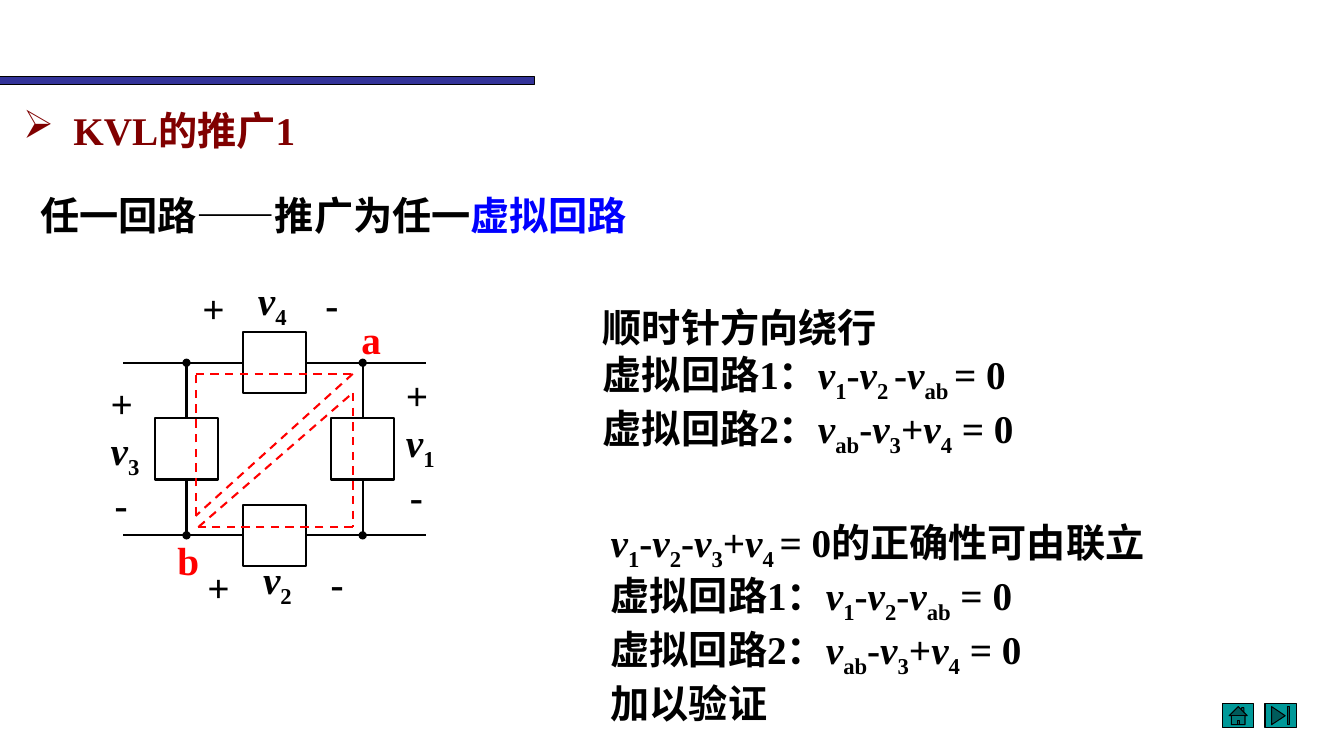
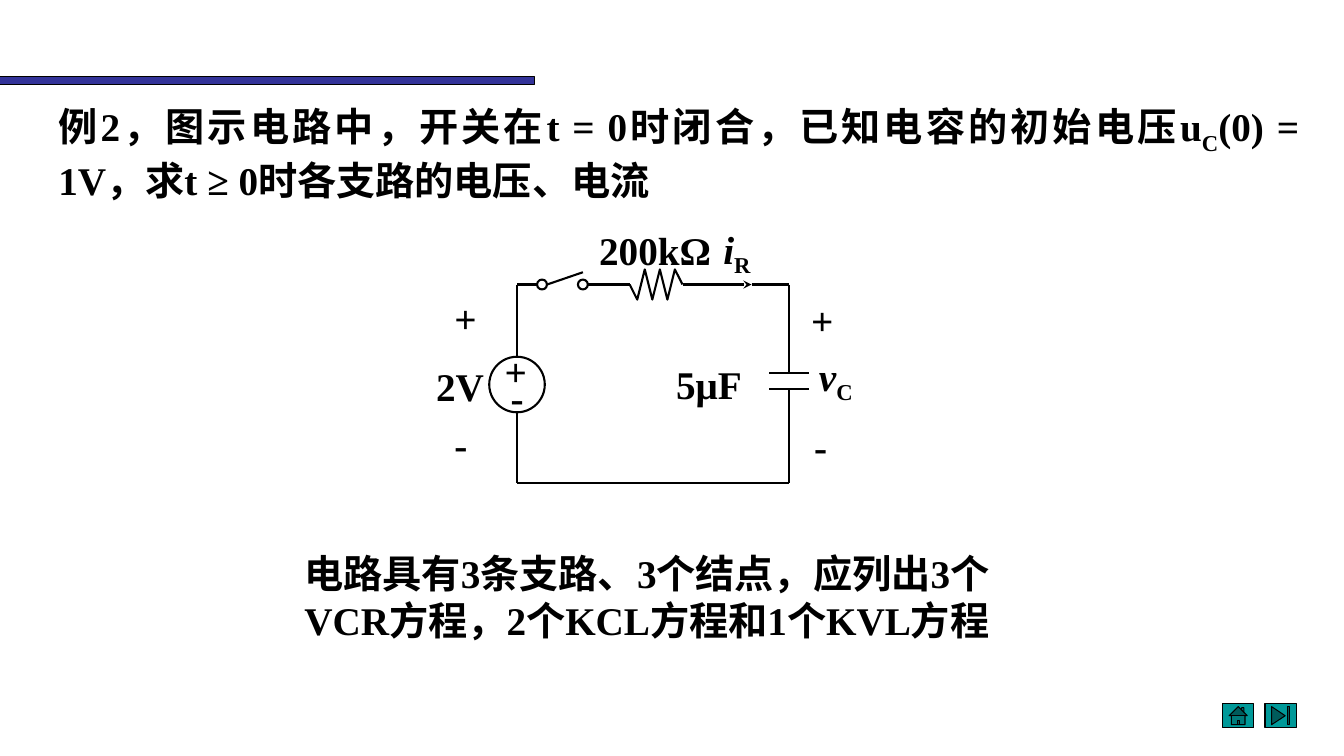
from dataclasses import dataclass
from itertools import count, pairwise

from lxml import etree
from pptx import Presentation
from pptx.dml.color import RGBColor
from pptx.enum import dml, lang, shapes, text
from pptx.oxml import ns
from pptx.util import Cm, Pt


@dataclass(frozen=True)
class Theme:
    font: str = "Times New Roman"
    size: float = 28
    rule: float = 1.5
    outline: float = 0.75
    ink: str = "000000"
    heading: str = "800000"
    accent: str = "0000FF"
    loop: str = "FF0000"
    band: str = "333399"
    button: str = "009999"


THEME = Theme()
LABEL_HEIGHT = 1.45
SHAPE = shapes.MSO_SHAPE


def colour(name):
    return RGBColor.from_string(getattr(THEME, name))


def add_xml(parent, tag, **attributes):
    return etree.SubElement(parent, ns.qn(tag), attributes)


def write_line(para, line, ink="ink", align=text.PP_ALIGN.LEFT, bullet=None):
    """Fill a paragraph from parts split by |: / is italic, _ subscript, ! accent."""
    properties = para._p.get_or_add_pPr()
    indent = Cm(1.27) if bullet else 0
    properties.set("marL", str(indent))
    properties.set("indent", str(-indent))
    if bullet:
        add_xml(properties, "a:buChar", char=bullet)
    else:
        add_xml(properties, "a:buNone")
    para.alignment = align
    para.space_before = Pt(0)
    para.font.name = THEME.font
    para.font.size = Pt(THEME.size)
    para.font.bold = True
    para.font.color.rgb = colour(ink)
    para.font.language_id = lang.MSO_LANGUAGE_ID.SIMPLIFIED_CHINESE
    for part in line.split("|"):
        mark = part[0] if part[0] in "/_!" else ""
        span = para.add_run()
        span.text = part[len(mark):]
        if mark == "/":
            span.font.italic = True
        elif mark == "_":
            span._r.get_or_add_rPr().set("baseline", "-25000")
        elif mark == "!":
            span.font.color.rgb = colour("accent")


def write_box(box, place, lines, inset=True, **style):
    box.left, box.top, box.width, box.height = map(Cm, place)
    frame = box.text_frame
    frame.word_wrap = True
    frame.auto_size = text.MSO_AUTO_SIZE.NONE
    frame.vertical_anchor = text.MSO_ANCHOR.TOP
    side, edge = (Cm(0.25), Cm(0.13)) if inset else (0, 0)
    frame.margin_left = frame.margin_right = side
    frame.margin_top = frame.margin_bottom = edge
    for index, line in enumerate(lines):
        para = frame.add_paragraph() if index else frame.paragraphs[0]
        write_line(para, line, **style)


def add_text(page, place, *lines, **style):
    write_box(page.shapes.add_textbox(*map(Cm, place)), place, lines, **style)


def outline(shape, width, fill=None):
    shape.shadow.inherit = False
    if fill:
        shape.fill.solid()
        shape.fill.fore_color.rgb = colour(fill)
    else:
        shape.fill.background()
    shape.line.color.rgb = colour("ink")
    shape.line.width = Pt(width)
    return shape


class Drawing:
    """Circuit parts placed in centimetres from the corner of a region."""

    def __init__(self, page, left, top):
        self.page, self.left, self.top = page, left, top

    def spot(self, x, y):
        return Cm(self.left + x), Cm(self.top + y)

    def wire(self, start, end, ink="ink", dashed=False, head=None, tail=None, join=None):
        line = self.page.shapes.add_connector(
            shapes.MSO_CONNECTOR.STRAIGHT, *self.spot(*start), *self.spot(*end))
        if join:
            line.end_connect(*join)
        line.line.color.rgb = colour(ink)
        line.line.width = Pt(THEME.rule)
        if dashed:
            line.line.dash_style = dml.MSO_LINE.DASH
        stroke = line.line._get_or_add_ln()
        for tag, kind in (("a:headEnd", head), ("a:tailEnd", tail)):
            if kind:
                add_xml(stroke, tag, type=kind)
        add_xml(line._element.spPr, "a:effectLst")

    def centred(self, kind, x, y, width, height):
        shape = self.page.shapes.add_shape(
            kind, *self.spot(x - width / 2, y - height / 2), Cm(width), Cm(height))
        return outline(shape, THEME.rule)

    def label(self, line, x, y, width=1.5, ink="ink"):
        place = (self.left + x, self.top + y, width, LABEL_HEIGHT)
        add_text(self.page, place, line, ink=ink)


def draw_bridge(page, left, top):
    art = Drawing(page, left, top)
    west, east, north, south = 2.16, 6.6, 2.31, 6.66
    half_width, half_height, stub = 0.8, 0.77, 1.6

    for y in (north, south):
        middle = (west + east) / 2
        element = art.centred(SHAPE.RECTANGLE, middle, y, 2 * half_width, 2 * half_height)
        art.wire((west, y), (middle - half_width, y), join=(element, 1))
        art.wire((east, y), (middle + half_width, y), join=(element, 3))
        art.wire((west - stub, y), (west, y), tail="oval")
        art.wire((east, y), (east + stub, y), head="oval")
    for x in (west, east):
        middle = (north + south) / 2
        element = art.centred(SHAPE.RECTANGLE, x, middle, 2 * half_width, 2 * half_height)
        art.wire((x, north), (x, middle - half_height), join=(element, 0))
        art.wire((x, south), (x, middle + half_height), join=(element, 2))

    across = ((0, 0.2), (1.4, 0), (3.1, 0.1))
    down = ((0, 0), (0, 1.19), (0.1, 2.56))
    for number, x, y, offsets in ((4, 2.31, 0, across), (2, 2.44, 7.04, across),
                                  (1, 7.44, 2.39, down), (3, 0, 2.59, down)):
        for sign, (dx, dy) in zip(("+", f"/v|_{number}", "-"), offsets):
            art.label(sign, x + dx, y + dy)

    lower = ((6.35, 3.07), (6.35, 6.45), (2.46, 6.45))
    upper = ((2.39, 6.17), (2.39, 2.59), (6.35, 2.59))
    for corners in (lower, upper):
        for start, end in pairwise(corners + corners[:1]):
            art.wire(start, end, ink="loop", dashed=True)
    art.label("a", 6.32, 0.99, ink="loop")
    art.label("b", 1.68, 6.55, ink="loop")


def draw_rc_circuit(page, left, top):
    art = Drawing(page, left, top)
    west, east, north, south = 2.29, 9.14, 1.63, 6.63
    source_y, radius = 4.15, 0.7
    plates, plate_half = (3.86, 4.27), 0.5
    contacts, contact = (2.92, 3.95), 0.25
    zig_start, zig_step, zig_height = 5.13, 0.19, 0.38
    zig_end = zig_start + 7 * zig_step
    arrow_x = 8.2

    art.centred(SHAPE.OVAL, west, source_y, 2 * radius, 2 * radius)
    for x in contacts:
        art.centred(SHAPE.OVAL, x, north, contact, contact)
    for start, end in (
        ((west, north), (west, source_y - radius)),
        ((west, source_y + radius), (west, south)),
        ((west, south), (east, south)),
        ((west, north), (contacts[0] - contact / 2, north)),
        ((contacts[0] + contact / 2, north), (contacts[1], north - 0.31)),
        ((contacts[1] + contact / 2, north), (zig_start, north)),
        ((arrow_x, north), (east, north)),
        ((east, north), (east, plates[0])),
        ((east, plates[1]), (east, south)),
    ):
        art.wire(start, end)
    art.wire((zig_end, north), (arrow_x, north), tail="stealth")
    for y in plates:
        art.wire((east - plate_half, y), (east + plate_half, y))

    swings = (0, 1, -1, 1, -1, 1, -1, 0)
    points = [art.spot(zig_start + i * zig_step, north + swing * zig_height)
              for i, swing in enumerate(swings)]
    zigzag = page.shapes.build_freeform(*points[0])
    zigzag.add_line_segments(points[1:], close=False)
    outline(zigzag.convert_to_shape(), THEME.rule)

    for line, x, y, width in (
        ("2V", 0, 3.45, 2), ("200kΩ", 4.11, 0.03, 3.86), ("/i|_R", 7.24, 0, 1.7),
        ("5μF", 6.05, 3.4, 2.74), ("/v|_C", 9.65, 3.2, 2),
        ("+", 0.46, 1.75, 1.5), ("-", 0.46, 4.93, 1.3),
        ("+", 9.45, 1.8, 1.5), ("-", 9.53, 4.98, 1.3),
        ("+", 1.73, 3.07, 1.5), ("-", 1.88, 3.73, 1.3),
    ):
        art.label(line, x, y, width)


def add_master_furniture(deck, page):
    """Build the band and buttons on a page, then move them to the master."""
    ids = count(20)
    for kind, place, fill in (
        (SHAPE.RECTANGLE, (0, 1.93, 13.46, 0.2), "band"),
        (SHAPE.ACTION_BUTTON_HOME, (30.81, 17.73, 0.79, 0.61), "button"),
        (SHAPE.ACTION_BUTTON_END, (31.88, 17.73, 0.79, 0.61), "button"),
    ):
        shape = outline(page.shapes.add_shape(kind, *map(Cm, place)), THEME.outline, fill)
        shape._element.nvSpPr.cNvPr.set("id", str(next(ids)))
        deck.slide_master.shapes._spTree.append(shape._element)


def build_kvl_page(page):
    loop_two = "虚拟回路2：|/v|_ab|-|/v|_3|+|/v|_4| = 0"
    write_box(page.shapes.title, (0.33, 2.54, 9.73, 1.45), ["KVL的推广1"],
              ink="heading", align=text.PP_ALIGN.JUSTIFY, bullet="➢")
    add_text(page, (0.76, 4.7, 19.76, 1.45), "任一回路——推广为任一|!虚拟回路")
    draw_bridge(page, 2.54, 6.83)
    write_box(page.placeholders[1], (14.94, 7.52, 14, 3.81), [
        "顺时针方向绕行",
        "虚拟回路1：|/v|_1|-|/v|_2 |-|/v|_ab |= 0",
        loop_two,
    ])
    add_text(page, (15.14, 12.93, 16, 5),
             "/v|_1|-|/v|_2|-|/v|_3|+|/v|_4 |= 0的正确性可由联立",
             "虚拟回路1：|/v|_1|-|/v|_2|-|/v|_ab| = 0",
             loop_two,
             "加以验证")


def build_example_page(page):
    write_box(page.shapes.title, (1.47, 2.59, 31.27, 2.39), [
        "例2，图示电路中，开关在t = 0时闭合，已知电容的初始电压u|_C|"
        "(0) = 1V，求t ≥ 0时各支路的电压、电流",
    ], inset=False, align=text.PP_ALIGN.JUSTIFY)
    draw_rc_circuit(page, 10.74, 5.54)
    write_box(page.placeholders[1], (7.42, 13.72, 19, 3.9), [
        "电路具有3条支路、3个结点，应列出3个VCR方程，2个KCL方程和1个KVL方程",
    ])


def main():
    deck = Presentation()
    deck.slide_width, deck.slide_height = Cm(33.87), Cm(19.05)
    layout = deck.slide_layouts[1]
    pages = [deck.slides.add_slide(layout) for _ in range(2)]
    add_master_furniture(deck, pages[0])
    build_kvl_page(pages[0])
    build_example_page(pages[1])
    deck.save("out.pptx")


if __name__ == "__main__":
    main()
